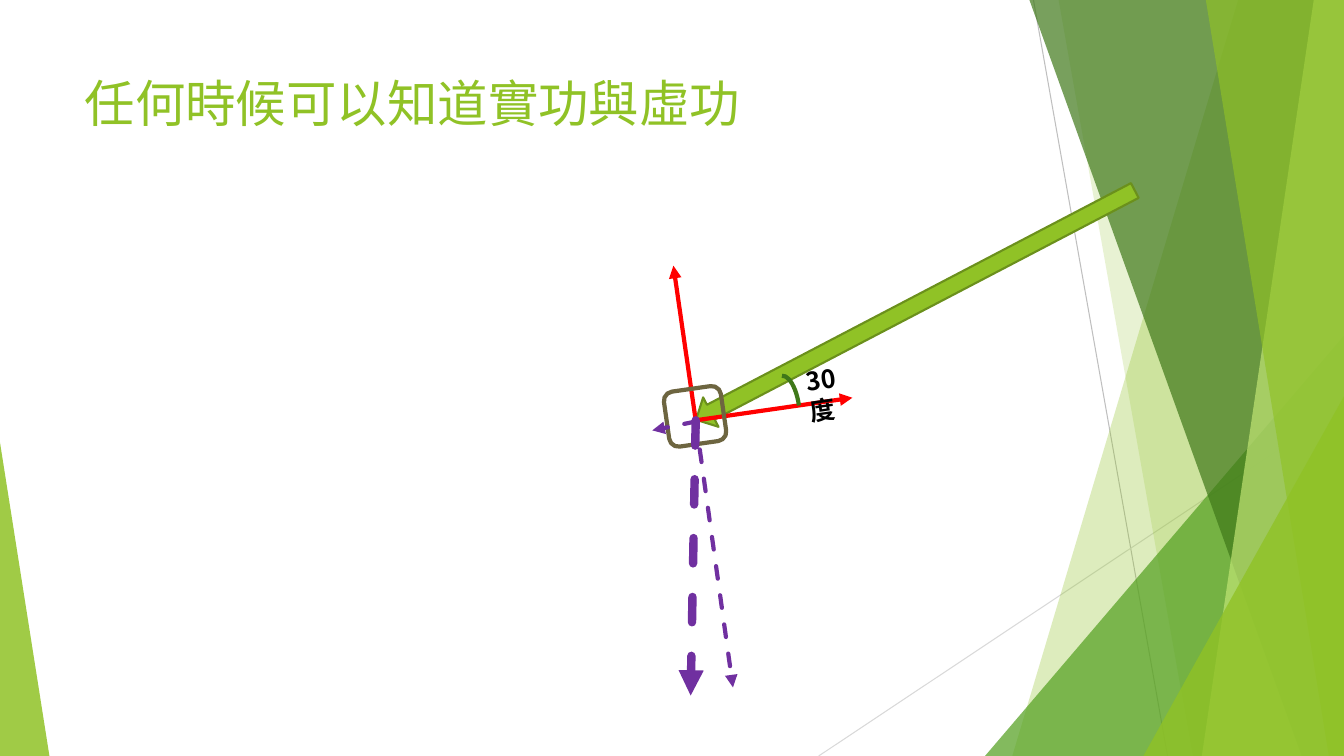
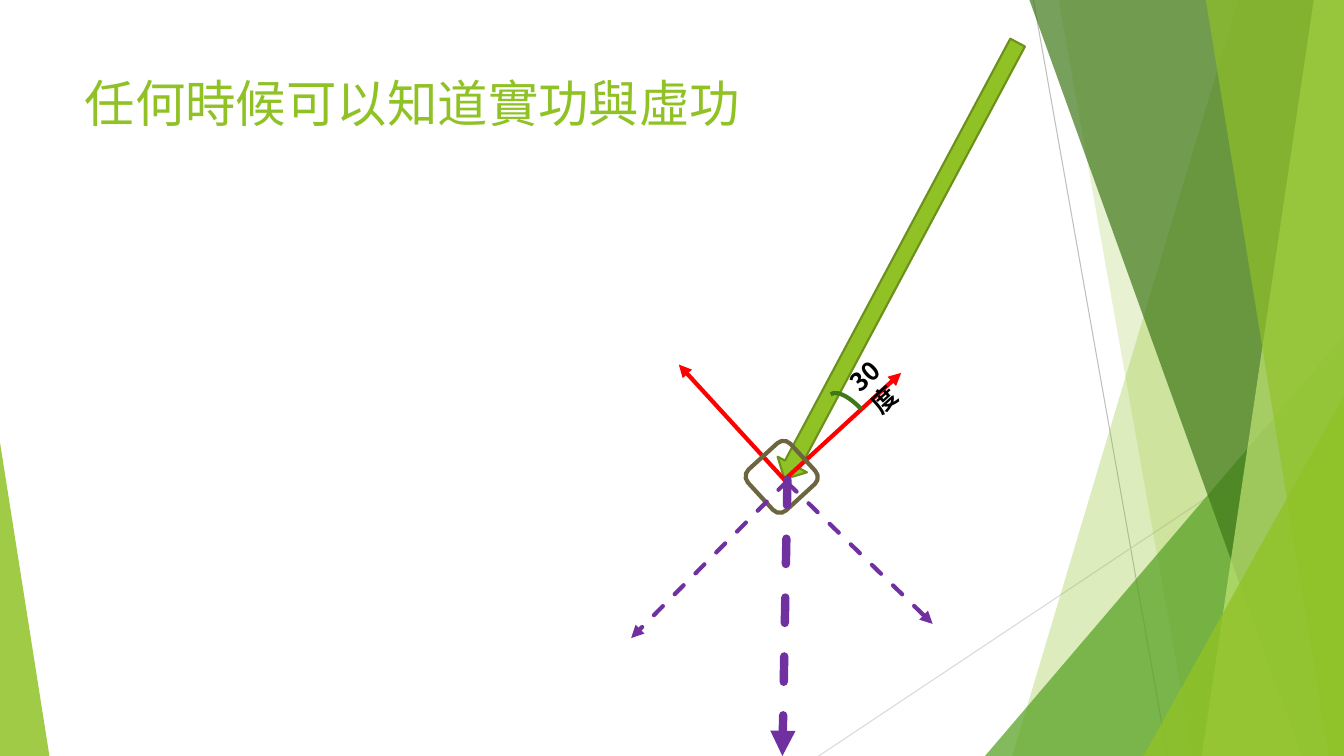
from dataclasses import dataclass
from math import cos, radians, sin

from lxml import etree
from pptx import Presentation
from pptx.dml.color import RGBColor
from pptx.enum import dml, shapes, text
from pptx.oxml import ns
from pptx.util import Inches, Pt

COLORS = {
    "lime": "90C226", "green": "54A021", "forest": "3F7819", "pale": "C0E474",
    "olive": "6B901C", "brown": "6D6540", "red": "FF0000", "purple": "7030A0",
    "gray": "BFBFBF", "silver": "D9D9D9", "black": "000000",
}
TITLE = "任何時候可以知道實功與虛功"
EAST_ASIAN = "Noto Sans CJK SC"
PAGE_WIDTH, PAGE_HEIGHT = 13.33, 7.5
FORCE_ANGLE = 19.4
Point = tuple[float, float]


@dataclass
class Band:
    """Translucent outline that runs along a page edge."""
    points: list[Point]
    color: str
    opacity: int


@dataclass
class Wedge:
    """Translucent triangle standing on the bottom edge."""
    left: float
    width: float
    height: float
    apex: float
    color: str
    opacity: int


@dataclass
class Line:
    """Straight line, optionally dashed and with an arrowhead."""
    start: Point
    end: Point
    color: str
    weight: float = 3
    dashed: bool = False
    arrow: bool = True


@dataclass
class Scene:
    """Tilted axes at a pivot, with the dashed weight arrows of one page."""
    pivot: Point
    tilt: float
    weights: list[Line]

    def locate(self, along: float, up: float) -> Point:
        """Turn a distance along and above the tilted axis into a page point."""
        angle = radians(self.tilt)
        return (self.pivot[0] + along * cos(angle) - up * sin(angle),
                self.pivot[1] - along * sin(angle) - up * cos(angle))


def edge_band(top: float, bottom: float, color: str, opacity: int) -> Band:
    """Describe a band between a slanted side and the right page edge."""
    corners = [(top, 0), (PAGE_WIDTH, 0), (PAGE_WIDTH, PAGE_HEIGHT), (bottom, PAGE_HEIGHT)]
    return Band(corners, color, opacity)


def weight_arrow(start: Point, end: Point, weight: float = 3) -> Line:
    """Describe a dashed purple arrow."""
    return Line(start, end, "purple", weight, dashed=True)


HAIRLINES = [
    Line((10.25, 0), (11.58, 7.5), "gray", 0.75, arrow=False),
    Line((13.33, 4.03), (8.12, 7.5), "silver", 0.75, arrow=False),
]
DECORATION = [
    edge_band(12.28, 10.04, "lime", 30),
    edge_band(10.5, 11.83, "lime", 20),
    Wedge(9.77, 3.56, 4.17, 1, "green", 72),
    edge_band(10.21, 12.91, "forest", 70),
    edge_band(13.03, 11.92, "pale", 70),
    edge_band(11.96, 13.18, "lime", 65),
    Wedge(11.34, 1.99, 3.57, 1, "lime", 80),
    Wedge(0, 0.49, 3.11, 0, "lime", 85),
]
SCENES = [
    Scene((6.9, 4.17), 8.2, [
        weight_arrow((6.9, 4.17), (6.85, 6.9), 6),
        weight_arrow((6.9, 4.17), (7.27, 6.82)),
        weight_arrow((6.91, 4.18), (6.47, 4.27)),
    ]),
    Scene((7.78, 4.76), 42.5, [
        weight_arrow((7.81, 4.76), (7.76, 7.5), 6),
        weight_arrow((7.81, 4.77), (6.26, 6.33)),
        weight_arrow((7.81, 4.79), (9.25, 6.19)),
    ]),
]


def rgb(name: str) -> RGBColor:
    """Look up a named colour."""
    return RGBColor.from_string(COLORS[name])


def paint(shape, fill: str | None = None, opacity: int = 100,
          line: str | None = None, weight: float = 3) -> None:
    """Set the fill, opacity and outline of a shape."""
    shape.shadow.inherit = False
    if fill:
        shape.fill.solid()
        shape.fill.fore_color.rgb = rgb(fill)
        if opacity < 100:
            color = shape.fill._xPr.find(".//" + ns.qn("a:srgbClr"))
            etree.SubElement(color, ns.qn("a:alpha"), val=str(opacity * 1000))
    else:
        shape.fill.background()
    if line:
        shape.line.color.rgb = rgb(line)
        shape.line.width = Pt(weight)
    else:
        shape.line.fill.background()


def write(frame, content: str, *, size: float, font: str, color: str, bold: bool = False) -> None:
    """Put one formatted span of text at the top left of a frame."""
    frame.word_wrap = True
    frame.auto_size = text.MSO_AUTO_SIZE.NONE
    frame.vertical_anchor = text.MSO_ANCHOR.TOP
    para = frame.paragraphs[0]
    para.alignment = text.PP_ALIGN.LEFT
    span = para.add_run()
    span.text = content
    span.font.size = Pt(size)
    span.font.name = font
    span.font.bold = bold
    span.font.color.rgb = rgb(color)
    etree.SubElement(span.font._element, ns.qn("a:ea"), typeface=EAST_ASIAN)


def draw_line(page, line: Line) -> None:
    """Draw a line or an arrow."""
    ends = [Inches(value) for value in (*line.start, *line.end)]
    connector = page.shapes.add_connector(shapes.MSO_CONNECTOR.STRAIGHT, *ends)
    connector.line.color.rgb = rgb(line.color)
    connector.line.width = Pt(line.weight)
    outline = connector.line._get_or_add_ln()
    if line.dashed:
        connector.line.dash_style = dml.MSO_LINE.DASH
        outline.set("cap", "rnd")
    if line.arrow:
        etree.SubElement(outline, ns.qn("a:tailEnd"), type="triangle")
    etree.SubElement(connector._element.spPr, ns.qn("a:effectLst"))


def draw_band(page, band: Band) -> None:
    """Draw a band outline."""
    first, *rest = [(Inches(x), Inches(y)) for x, y in band.points]
    builder = page.shapes.build_freeform(*first)
    builder.add_line_segments(rest, close=True)
    paint(builder.convert_to_shape(), band.color, band.opacity)


def draw_wedge(page, wedge: Wedge) -> None:
    """Draw a triangle on the bottom edge."""
    triangle = page.shapes.add_shape(
        shapes.MSO_SHAPE.ISOSCELES_TRIANGLE, Inches(wedge.left),
        Inches(PAGE_HEIGHT - wedge.height), Inches(wedge.width), Inches(wedge.height))
    triangle.adjustments[0] = wedge.apex
    paint(triangle, wedge.color, wedge.opacity)


def frame_around(center: Point, width: float, height: float) -> list[int]:
    """Return left, top, width and height of a box around its centre."""
    x, y = center
    return [Inches(value) for value in (x - width / 2, y - height / 2, width, height)]


def draw_scene(page, scene: Scene) -> None:
    """Draw the force, axes, block, angle mark and weight arrows."""
    kinds = shapes.MSO_SHAPE
    force = page.shapes.add_shape(
        kinds.RIGHT_ARROW, *frame_around(scene.locate(2.32, 0.82), 4.91, 0.33))
    force.rotation = 180 - scene.tilt - FORCE_ANGLE
    paint(force, "lime", line="olive", weight=1.5)
    for tip in ((1.57, 0), (0, 1.55)):
        draw_line(page, Line(scene.pivot, scene.locate(*tip), "red"))
    block = page.shapes.add_shape(
        kinds.ROUNDED_RECTANGLE, *frame_around(scene.locate(0, 0.04), 0.57, 0.55))
    paint(block, line="brown")
    angle_mark = page.shapes.add_shape(
        kinds.ARC, *frame_around(scene.locate(0.91, 0), 0.25, 0.63))
    paint(angle_mark, line="forest")
    label = page.shapes.add_textbox(*frame_around(scene.locate(1.42, 0.22), 0.76, 0.4))
    label.text_frame.margin_right = Inches(0.2)
    write(label.text_frame, "30度", size=18, font=EAST_ASIAN, color="black", bold=True)
    for box in (block, angle_mark, label):
        box.rotation = 360 - scene.tilt
    for weight in scene.weights:
        draw_line(page, weight)


def add_page(deck, scene: Scene) -> None:
    """Add a titled page with the shared decoration and one scene."""
    page = deck.slides.add_slide(deck.slide_layouts[5])
    title = page.shapes.title
    title.left, title.top, title.width, title.height = map(Inches, (0.74, 0.67, 9.4, 1.44))
    write(title.text_frame, TITLE, size=36, font="Lato", color="lime")
    for hairline in HAIRLINES:
        draw_line(page, hairline)
    for part in DECORATION:
        if isinstance(part, Band):
            draw_band(page, part)
        else:
            draw_wedge(page, part)
    draw_scene(page, scene)


def main() -> None:
    """Build and save the deck."""
    deck = Presentation()
    deck.slide_width, deck.slide_height = Inches(PAGE_WIDTH), Inches(PAGE_HEIGHT)
    for scene in SCENES:
        add_page(deck, scene)
    deck.save("out.pptx")


main()
